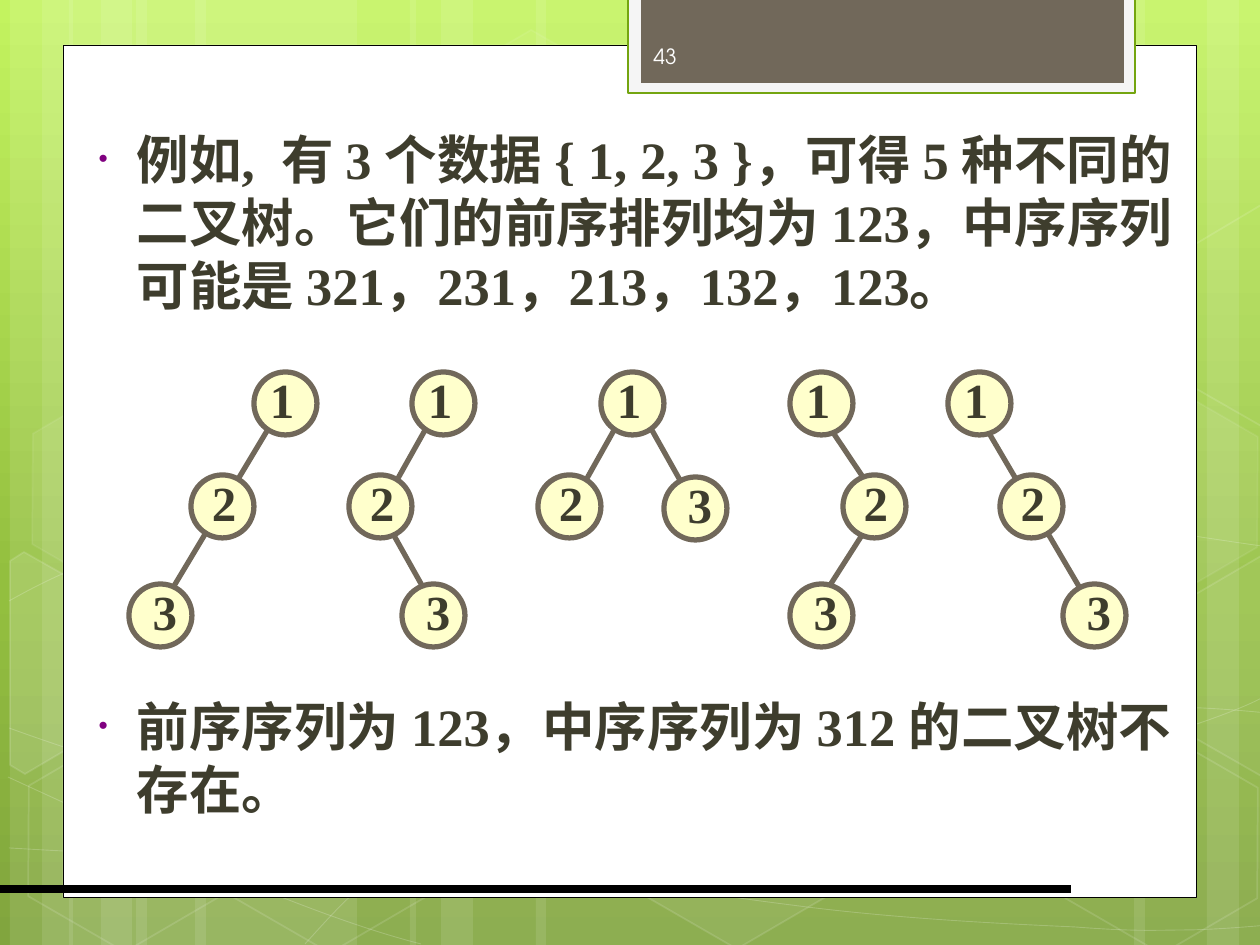
from copy import deepcopy
from dataclasses import dataclass

from lxml.etree import SubElement as Sub
from pptx import Presentation
from pptx.dml.color import RGBColor as Rgb
from pptx.enum.shapes import MSO_CONNECTOR as Link, MSO_SHAPE as Kind
from pptx.enum.text import MSO_ANCHOR as Anchor, MSO_AUTO_SIZE as Fit, PP_ALIGN as Align
from pptx.oxml.ns import qn
from pptx.util import Pt


@dataclass(frozen=True)
class Theme:
    white: str = "FFFFFF"
    black: str = "000000"
    taupe: str = "71685A"
    frame: str = "F5F5F5"
    green: str = "74A510"
    node: str = "FFFFCC"
    ink: str = "3E3D2D"
    bullet: str = "800080"
    pale: str = "FEFEFE"
    sky: tuple = ((0, "C3F35F"), (0.62, "93BF3F"), (1, "81A53E"))
    serif: str = "Times New Roman"
    sans: str = "TeX Gyre Adventor"
    body: int = 30
    label: int = 28
    page: int = 12


T = Theme()
PX = 914400 / 126


def paint(shape, fill=None, line=None, width=1, clear=100, faint=100):
    """Set fill and line; clear and faint are their opacities in percent."""
    shape.shadow.inherit = False
    for part, tint, alpha in ((shape.fill, fill, clear), (shape.line.fill, line, faint)):
        if tint is None:
            part.background()
            continue
        part.solid()
        part.fore_color.rgb = Rgb.from_string(tint)
        if alpha < 100:
            tag = "a:solidFill" if part is shape.fill else "a:ln/a:solidFill"
            node = shape.element.spPr.find("/".join(qn(t) for t in tag.split("/")))
            Sub(node[0], qn("a:alpha"), val=str(alpha * 1000))
    if line:
        shape.line.width = Pt(width)


def style(par, face, size, tint, bold):
    for run in par.runs:
        font = run.font
        font.name, font.size, font.bold = face, Pt(size), bold
        font.color.rgb = Rgb.from_string(tint)


deck = Presentation()
deck.slide_width, deck.slide_height = int(1260 * PX), int(945 * PX)
slide = deck.slides.add_slide(deck.slide_layouts[1])
shapes = slide.shapes
title = shapes.title.element
title.getparent().remove(title)

# Green background
back = slide.background.fill
back.gradient()
back.gradient_angle = 270
stops = slide.element.find(".//" + qn("a:gsLst"))
stops.append(deepcopy(stops[-1]))
for stop, (place, tint) in zip(back.gradient_stops, T.sky):
    stop.position = place
    stop.color.rgb = Rgb.from_string(tint)

bands = [(136, 221), (10, 63), (42, 105), (195, 221), (69, 63), (101, 105),
         (924, 221), (1207, 63), (1134, 105), (536, 388), (410, 63), (441, 105)]
for x, w in bands:
    band = shapes.add_shape(Kind.RECTANGLE, int(x * PX), 0, int(w * PX), deck.slide_height)
    paint(band, T.white, clear=10)

# Each curve is a start point, then three Bezier points per piece
curves = [
    [(9, 848), (77, 852), (145, 856), (239, 854), (334, 853), (451, 851), (577, 838),
     (703, 825), (882, 801), (998, 777), (1113, 753), (1231, 717), (1269, 694)],
    [(9, 601), (45, 581), (82, 562), (152, 543), (224, 524), (326, 499), (437, 488),
     (549, 479), (685, 478), (824, 488), (963, 498), (1193, 537), (1269, 547)],
    [(8, 777), (160, 847), (311, 916), (421, 944)],
    [(9, 728), (48, 742), (88, 756), (161, 776), (234, 795), (344, 827), (450, 848),
     (554, 869), (687, 892), (791, 905), (896, 919), (1008, 924), (1075, 927),
     (1140, 932), (1158, 930), (1191, 930), (1223, 929), (1246, 927), (1269, 925)],
    [(305, 944), (328, 919), (350, 893), (381, 871), (412, 848), (454, 822), (489, 805),
     (524, 788), (546, 780), (592, 767), (638, 754), (722, 737), (766, 728),
     (811, 719), (818, 719), (857, 717), (896, 713), (958, 709), (1000, 708),
     (1045, 707), (1116, 708), (1116, 708), (1116, 708), (1201, 708), (1201, 708),
     (1223, 709), (1245, 711), (1256, 712), (1264, 713), (1268, 712), (1268, 713)],
]
for curve in curves:
    pen = shapes.build_freeform(*curve[0], scale=PX)
    pen.add_line_segments(curve[1:], close=False)
    arc = pen.convert_to_shape()
    track = arc.element.find(".//" + qn("a:path"))
    legs = track.findall(qn("a:lnTo"))
    for i in range(0, len(legs), 3):
        bend = Sub(track, qn("a:cubicBezTo"))
        for leg in legs[i:i + 3]:
            bend.append(leg[0])
            track.remove(leg)
    paint(arc, line=T.white, width=0.5, faint=20)

cells = [(421, 45, 4, 8), (626, 742, 6, 12), (14, 745, 0, 12), (18, 393, 7, 8),
         (219, 746, 0, 12), (949, 571, 10, 12), (1051, 747, 0, 12), (1051, 396, 7, 8)]
for x, y, clear, faint in cells:
    cell = shapes.add_shape(Kind.HEXAGON, int(x * PX), int(y * PX), int(221 * PX), int(192 * PX))
    cell.adjustments[0] = 0.285
    cell.rotation = 30
    paint(cell, T.white if clear else None, T.white, 1, clear, faint)

cuts = [
    (10, [(10, 561), (24, 552), (121, 607), (120, 718), (25, 774), (10, 765)]),
    (4, [(1167, 611), (1261, 556), (1271, 562), (1271, 772), (1263, 777), (1167, 722)]),
    (0, [(1167, 261), (1261, 205), (1273, 211), (1271, 422), (1263, 427), (1167, 372)]),
]
for clear, dots in cuts:
    pen = shapes.build_freeform(*dots[0], scale=PX)
    pen.add_line_segments(dots[1:], close=True)
    paint(pen.convert_to_shape(), T.white if clear else None, T.white, 1, clear, 12)

# White page and header tab
panels = [(63, 45, 1134, 853, T.white, T.black, 0.5),
          (628, -2, 507, 95, T.frame, T.green, 1.25),
          (641, -2, 483, 85, T.taupe, None, 0)]
for *box, fill, line, width in panels:
    panel = shapes.add_shape(Kind.RECTANGLE, *(int(n * PX) for n in box))
    paint(panel, fill, line, width)

page = shapes.add_textbox(*(int(n * PX) for n in (641, 31, 184, 50))).text_frame
page.word_wrap = True
page.vertical_anchor = Anchor.MIDDLE
page.text = "43"
style(page.paragraphs[0], T.sans, T.page, T.pale, False)

# Bulleted text, with room for the trees between the two items
body = slide.placeholders[1]
shapes.element.append(body.element)
body.left, body.top, body.width, body.height = (int(n * PX) for n in (76, 121, 1119, 730))
frame = body.text_frame
frame.auto_size = Fit.NONE
frame.text = ("例如,  有 3 个数据 { 1, 2, 3 }，可得 5 种不同的二叉树。它们的前序排列均为 123，"
              "中序序列可能是 321，231，213，132，123。\n"
              "前序序列为 123，中序序列为 312 的二叉树不存在。")
for par, gap in zip(frame.paragraphs, (0, 216)):
    props = par._p.get_or_add_pPr()
    props.set("marL", str(int(48 * PX)))
    props.set("indent", str(int(-38 * PX)))
    Sub(Sub(props, qn("a:buClr")), qn("a:srgbClr"), val=T.bullet)
    Sub(props, qn("a:buSzPct"), val="50000")
    Sub(props, qn("a:buChar"), char="•")
    par.space_before = Pt(gap)
    style(par, T.serif, T.body, T.ink, True)

# Footer rule, then tree edges
lines = [(0, 889, 1071, 889, T.black, 4.5)]
edges = [(644, 416, 685, 489), (392, 532, 433, 605), (864, 532, 811, 615),
         (276, 416, 171, 591), (433, 416, 392, 489), (622, 416, 581, 489),
         (822, 416, 885, 510), (979, 416, 1084, 595)]
lines += [(*edge, T.taupe, 3) for edge in edges]
for *ends, tint, width in lines:
    link = shapes.add_connector(Link.STRAIGHT, *(int(n * PX) for n in ends))
    link.line.color.rgb = Rgb.from_string(tint)
    link.line.width = Pt(width)
    Sub(link.element.spPr, qn("a:effectLst"))

# Tree nodes: value, top, label shift, then the left of each circle
ranks = [("1", 372, 3, -9, (254, 412, 601, 790, 948)),
         ("2", 475, 8, -9, (191, 349, 538, 843, 1000)),
         ("3", 584, 11, -9, (129, 402, 790, 1063)),
         ("3", 477, 11, -9, (664,))]
for value, y, dx, dy, lefts in ranks:
    for x in lefts:
        disc = shapes.add_shape(Kind.OVAL, *(int(n * PX) for n in (x, y, 63, 63)))
        paint(disc, T.node, T.taupe, 3)
        label = shapes.add_textbox(*(int(n * PX) for n in (x + dx, y + dy, 50, 72))).text_frame
        label.word_wrap = False
        label.vertical_anchor = Anchor.MIDDLE
        label.text = value
        label.paragraphs[0].alignment = Align.CENTER
        style(label.paragraphs[0], T.serif, T.label, T.ink, True)

deck.save("out.pptx")
